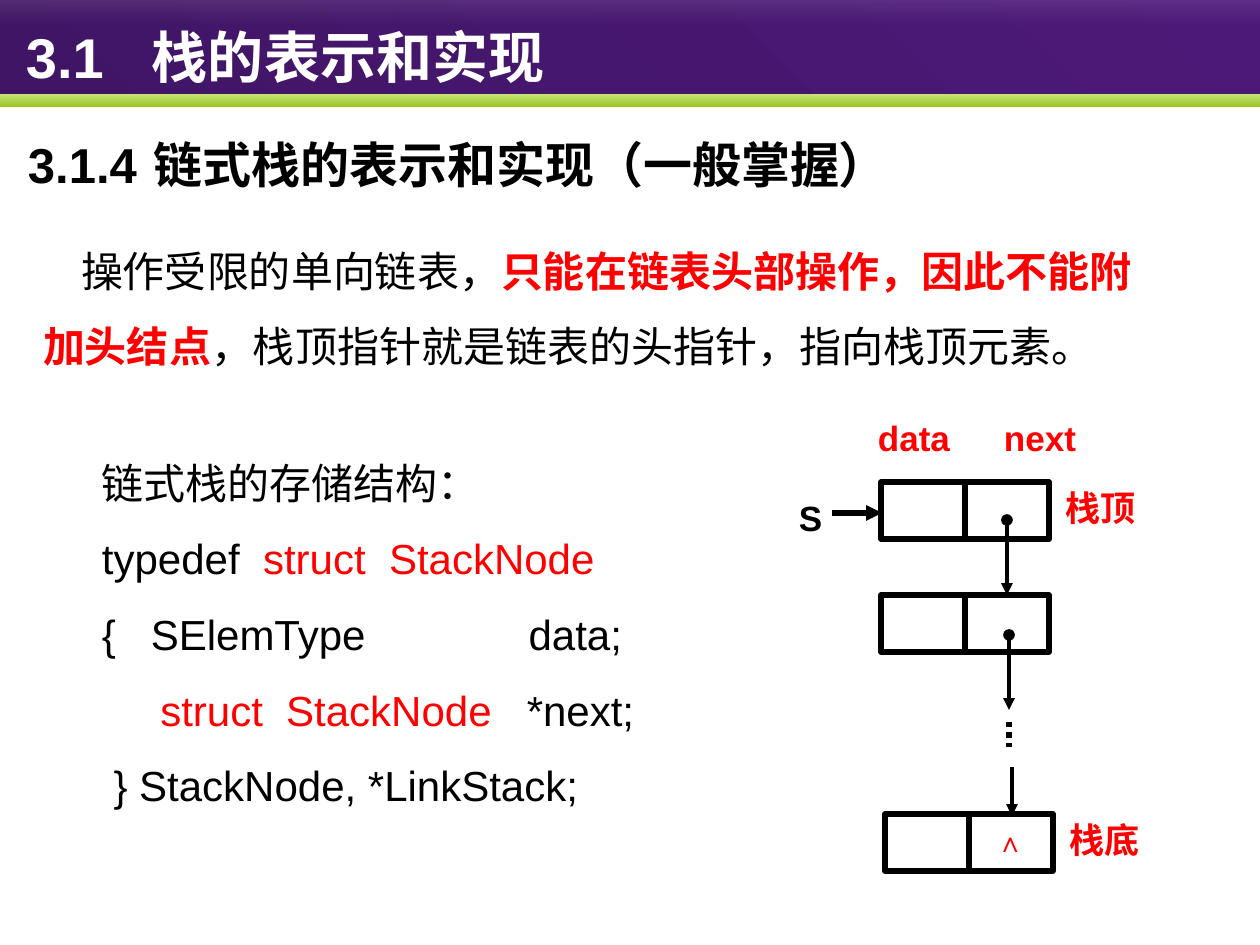
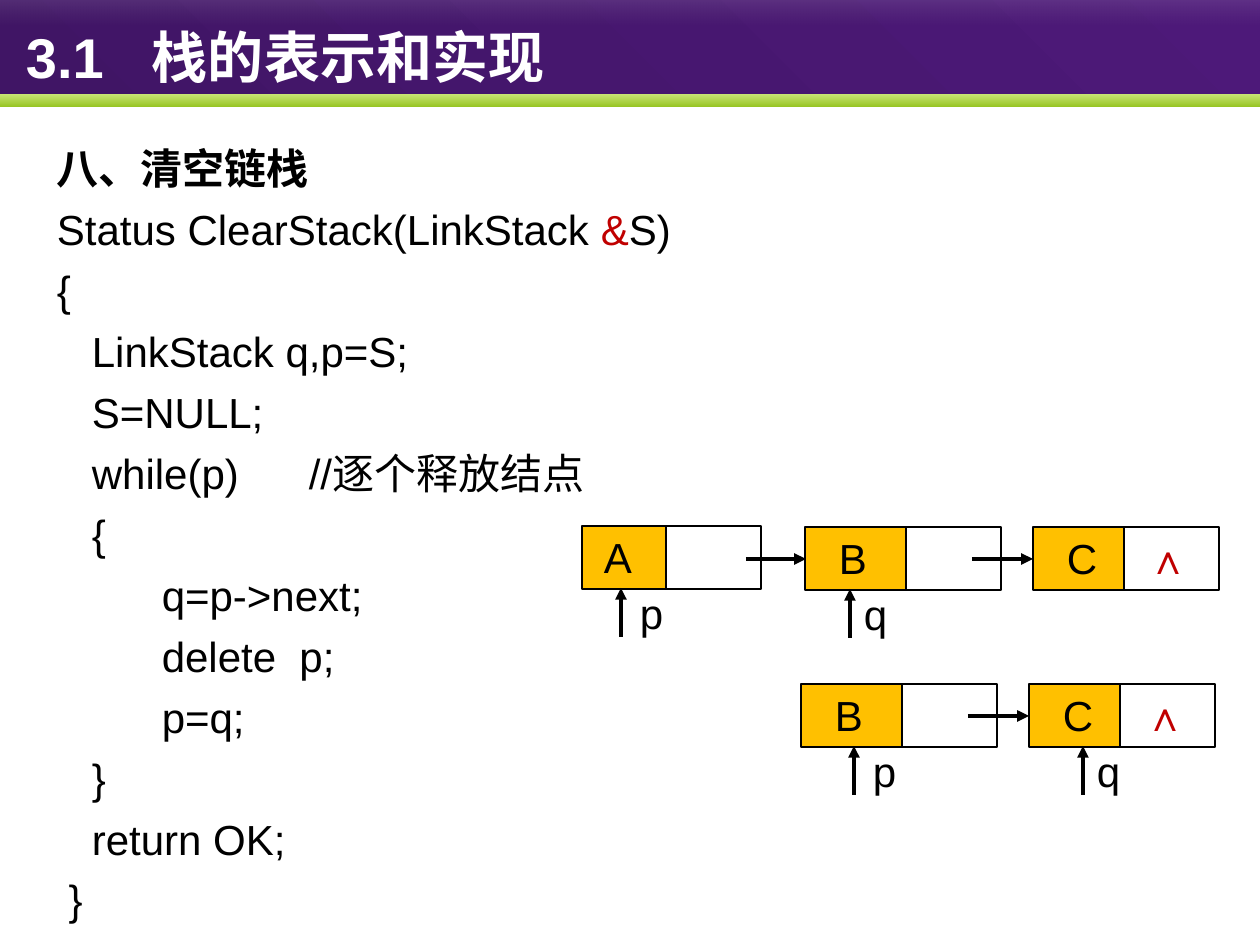
from lxml import etree
from pptx import Presentation
from pptx.dml.color import RGBColor
from pptx.enum.dml import MSO_LINE
from pptx.enum.shapes import MSO_CONNECTOR, MSO_SHAPE
from pptx.enum.text import MSO_ANCHOR, PP_ALIGN
from pptx.oxml.ns import qn
from pptx.util import Pt

RECT, STRAIGHT = MSO_SHAPE.RECTANGLE, MSO_CONNECTOR.STRAIGHT
LEFT, CENTER = PP_ALIGN.LEFT, PP_ALIGN.CENTER
TOP, MIDDLE = MSO_ANCHOR.TOP, MSO_ANCHOR.MIDDLE
DOTS = MSO_LINE.ROUND_DOT

EMU_PER_PX = 914400 / 126
FONT = "Arial"
BLACK, WHITE, RED, DARK_RED, AMBER = "000000", "FFFFFF", "FF0000", "C00000", "FFC000"
SECTION = "3.1\t栈的表示和实现"
WEDGE = "∧"
INSETS = (13, 6, 13, 6)


def px(n):
    """Turn pixels into EMU."""
    return round(n * EMU_PER_PX)


def rgb(color):
    """Turn a hex string into a colour."""
    return RGBColor.from_string(color)


def write(tf, paras, size=24, color=BLACK, bold=False, align=LEFT, anchor=TOP,
          insets=INSETS, spacing=None, before=0, margin=0, indent=0, tab=None):
    """Write paragraphs, each a string or a list of strings and (text, color, bold) runs."""
    tf.word_wrap = True
    tf.vertical_anchor = anchor
    tf.margin_left, tf.margin_top, tf.margin_right, tf.margin_bottom = map(px, insets)
    for i, runs in enumerate(paras):
        p = tf.add_paragraph() if i else tf.paragraphs[0]
        p.alignment = align
        p.space_before = Pt(before if i else 0)
        if spacing:
            p.line_spacing = spacing
        pPr = p._p.get_or_add_pPr()
        pPr.set("marL", str(px(margin)))
        pPr.set("indent", str(px(indent)))
        if tab:
            tabs = etree.SubElement(pPr, qn("a:tabLst"))
            etree.SubElement(tabs, qn("a:tab"), pos=str(px(tab)), algn="l")
        for run in [runs] if isinstance(runs, str) else runs:
            words, run_color, run_bold = (run, color, bold) if isinstance(run, str) else run
            r = p.add_run()
            r.text = words
            r.font.name, r.font.size, r.font.bold = FONT, Pt(size), run_bold
            r.font.color.rgb = rgb(run_color)
            etree.SubElement(r.font._element, qn("a:ea"), typeface=FONT)


def text(s, x, y, w, h, paras, **fmt):
    """Add a text box."""
    write(s.shapes.add_textbox(*map(px, (x, y, w, h))).text_frame, paras, **fmt)


def rect(s, x, y, w, h, fill=None, line=None):
    """Add a rectangle with an optional fill and a black outline of the given width."""
    sp = s.shapes.add_shape(RECT, *map(px, (x, y, w, h)))
    sp.shadow.inherit = False
    if fill:
        sp.fill.solid()
        sp.fill.fore_color.rgb = rgb(fill)
    else:
        sp.fill.background()
    if line:
        sp.line.color.rgb = rgb(BLACK)
        sp.line.width = Pt(line)
    else:
        sp.line.fill.background()
    return sp


def line(s, x1, y1, x2, y2, width=2.25, head=None, tail=None, dash=None):
    """Add a black line with optional ends."""
    c = s.shapes.add_connector(STRAIGHT, *map(px, (x1, y1, x2, y2)))
    c.line.color.rgb = rgb(BLACK)
    c.line.width = Pt(width)
    if dash:
        c.line.dash_style = dash
    spPr = c.element.spPr
    ln = spPr.find(qn("a:ln"))
    for tag, end in (("a:headEnd", head), ("a:tailEnd", tail)):
        if end:
            etree.SubElement(ln, qn(tag), type=end)
    etree.SubElement(spPr, qn("a:effectLst"))


def arrow(s, x1, y1, x2, y2, **fmt):
    """Add a line that ends in a triangle."""
    line(s, x1, y1, x2, y2, tail="triangle", **fmt)


def header_bands(s, layout):
    """Put the gradient bands behind the title on the shared layout."""
    bands = [
        (-4, 98, ("401565", "4D1979"), 45, None),
        (94, 13, ("C9E576", "97C523"), 270, None),
        (-4, 30, ("FFFFFF", "B6B6B6"), 270, (13, 0)),
    ]
    for i, (y, h, colors, angle, alphas) in enumerate(bands):
        sp = rect(s, 0, y, 1260, h)
        sp.fill.gradient()
        sp.fill.gradient_angle = angle
        for stop, color in zip(sp.fill.gradient_stops, colors):
            stop.color.rgb = rgb(color)
        if alphas:
            for clr, alpha in zip(list(sp.element.iter(qn("a:srgbClr"))), alphas):
                etree.SubElement(clr, qn("a:alpha"), val=str(alpha * 1000))
        layout.shapes.element.insert(2 + i, sp.element)


def titled_slide(prs, layout):
    """Add a slide with the section title."""
    s = prs.slides.add_slide(layout)
    title = s.shapes.title
    title.left, title.top, title.width, title.height = map(px, (13, 0, 1247, 113))
    write(title.text_frame, [SECTION], size=32, color=WHITE, bold=True,
          anchor=MIDDLE, tab=122)
    return s


def stack_node(s, x, y):
    """Draw an empty node with data and next cells."""
    rect(s, x, y, 168, 57, WHITE, 3)
    line(s, x + 84, y, x + 84, y + 57, 3)


def stack_diagram(s, x, y):
    """Draw the linked stack from top to bottom."""
    label = dict(size=20, color=RED, bold=True)
    flush = dict(label, insets=(0, 6, 0, 6))
    for dx, dy in ((95, 72), (95, 185), (99, 404)):
        stack_node(s, x + dx, y + dy)
    text(s, x + 79, y, 228, 55, ["data\tnext"], tab=101, **label)
    text(s, x + 280, y + 70, 100, 55, ["栈顶"], **flush)
    text(s, x + 284, y + 402, 100, 55, ["栈底"], **flush)
    text(s, x, y + 80, 49, 55, ["S"], size=20, bold=True, align=CENTER)
    text(s, x + 193, y + 409, 63, 47, [WEDGE], size=16, color=RED, bold=True, align=CENTER)
    arrow(s, x + 46, y + 103, x + 96, y + 103, width=3)
    arrow(s, x + 221, y + 110, x + 221, y + 185, head="oval")
    arrow(s, x + 223, y + 225, x + 223, y + 300, head="oval")
    line(s, x + 223, y + 312, x + 223, y + 337, 3, dash=DOTS)
    arrow(s, x + 226, y + 357, x + 226, y + 406)


def list_node(s, x, y, name, data_w, next_w, name_x, last=False):
    """Draw a node with a named data cell and a next cell."""
    data = rect(s, x, y, data_w, 63, AMBER, 1.5)
    write(data.text_frame, [name], insets=(name_x, 6, 0, 6))
    link = rect(s, x + data_w, y, next_w, 63, line=1.5)
    if last:
        write(link.text_frame, [WEDGE], color=DARK_RED, bold=True, insets=(24, 6, 0, 6))


def pointer(s, x, y, name, name_x):
    """Draw an upward pointer with its name at the right."""
    arrow(s, x, y + 49, x, y)
    text(s, x + name_x, y, 24, 50, [name], insets=(0, 0, 0, 0))


def list_tail(s, x, y):
    """Draw nodes B and C with the link between them."""
    list_node(s, x, y, "B", 101, 95, 34)
    list_node(s, x + 228, y, "C", 91, 95, 34, last=True)
    arrow(s, x + 167, y + 32, x + 228, y + 32)


def clear_diagram(s, x, y):
    """Draw the list before and after one node is freed."""
    list_node(s, x, y, "A", 84, 95, 22)
    list_tail(s, x + 223, y + 1)
    arrow(s, x + 164, y + 33, x + 224, y + 33)
    pointer(s, x + 39, y + 62, "p", 19)
    pointer(s, x + 268, y + 63, "q", 14)
    list_tail(s, x + 219, y + 158)
    pointer(s, x + 272, y + 220, "p", 19)
    pointer(s, x + 501, y + 220, "q", 14)


def storage_slide(s):
    """Fill the slide on the storage structure of a linked stack."""
    text(s, 15, 129, 1092, 86, ["3.1.4\t链式栈的表示和实现（一般掌握）"],
         size=28, bold=True, tab=148)
    text(s, 30, 214, 1138, 159,
         [["操作受限的单向链表，",
           ("只能在链表头部操作，因此不能附加头结点", RED, True),
           "，栈顶指针就是链表的头指针，指向栈顶元素。"]],
         spacing=1.5, indent=38)
    text(s, 64, 426, 595, 436,
         ["链式栈的存储结构：",
          ["typedef  ", ("struct  StackNode", RED, False)],
          "{   SElemType              data;",
          ["     ", ("struct  StackNode   ", RED, False), "*next;"],
          " } StackNode, *LinkStack;"],
         spacing=1.5, margin=25)
    stack_diagram(s, 786, 410)


def clear_slide(s):
    """Fill the slide on clearing a linked stack."""
    text(s, 44, 137, 643, 694,
         [[("八、清空链栈", BLACK, True)],
          ["Status ClearStack(LinkStack ", ("&", DARK_RED, False), "S)"],
          "{",
          "   LinkStack q,p=S;",
          "   S=NULL;",
          "   while(p)      //逐个释放结点",
          "   {",
          "         q=p->next;",
          "         delete  p;",
          "         p=q;",
          "   }",
          "   return OK;",
          " }"],
         before=6)
    clear_diagram(s, 582, 526)


def main():
    """Build the two slides and save them."""
    prs = Presentation()
    prs.slide_width, prs.slide_height = px(1260), px(945)
    layout = prs.slide_layouts.get_by_name("Title Only")
    storage, clear = (titled_slide(prs, layout) for _ in range(2))
    header_bands(storage, layout)
    storage_slide(storage)
    clear_slide(clear)
    prs.save("out.pptx")


if __name__ == "__main__":
    main()
